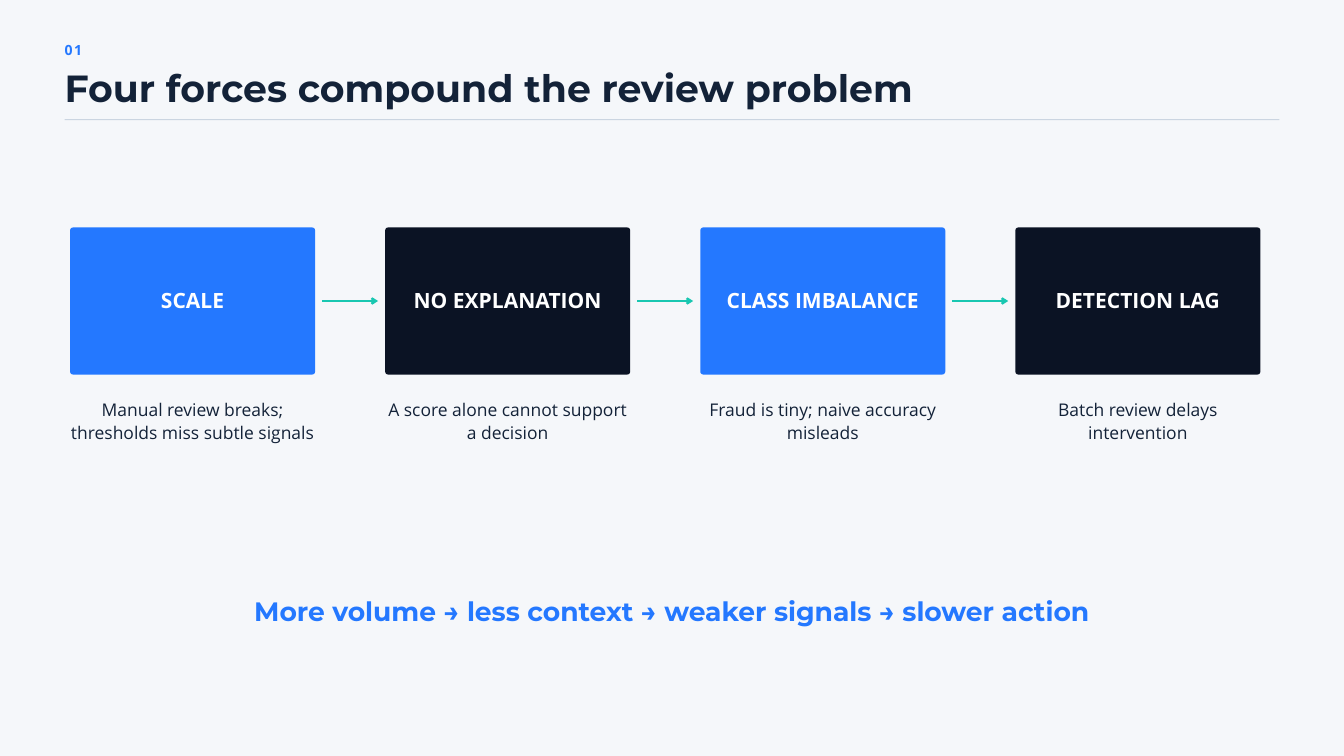
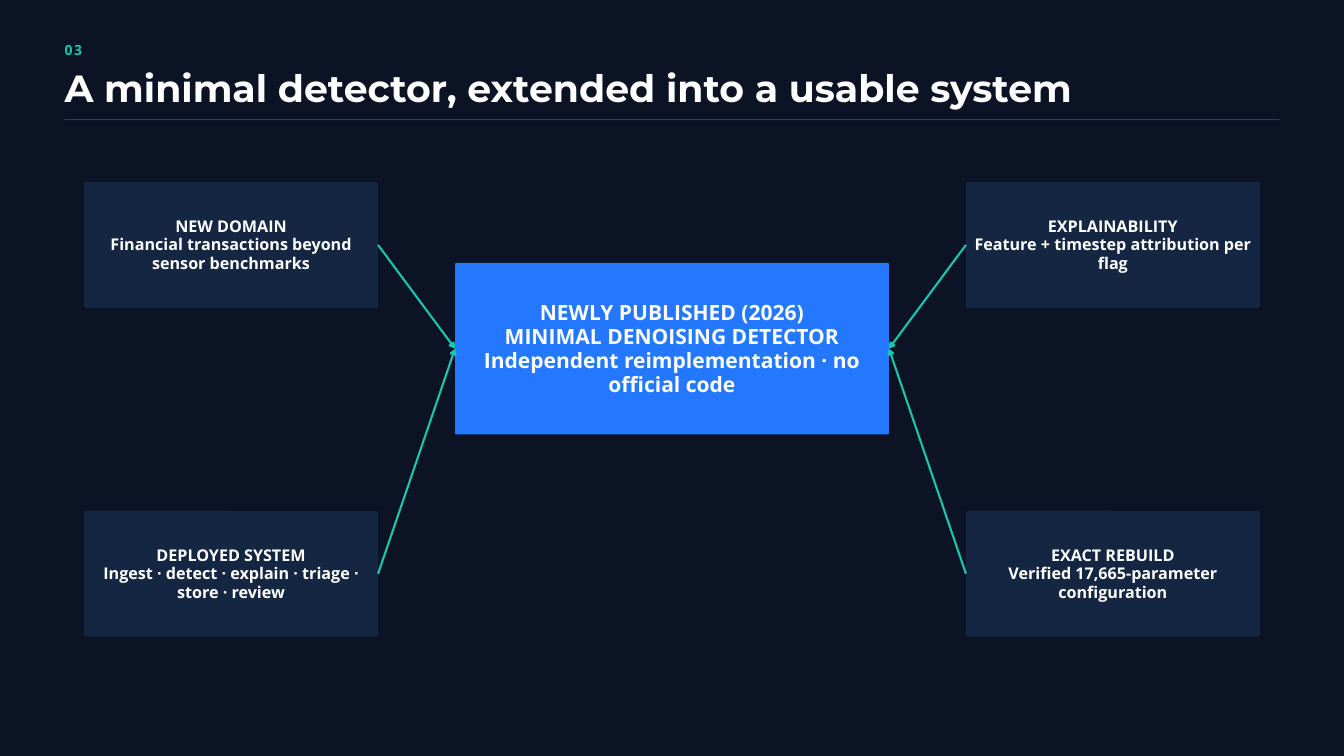
from dataclasses import dataclass

from lxml.etree import SubElement
from pptx import Presentation
from pptx.dml.color import RGBColor
from pptx.enum.shapes import MSO_CONNECTOR, MSO_SHAPE
from pptx.enum.text import MSO_ANCHOR, MSO_AUTO_SIZE, PP_ALIGN
from pptx.oxml.ns import qn
from pptx.shapes.autoshape import Shape
from pptx.shapes.connector import Connector
from pptx.slide import Slide
from pptx.util import Cm, Pt

COLORS = {
    "blue": "2478FF",
    "teal": "19C7B1",
    "night": "0B1324",
    "navy": "142641",
    "ink": "132238",
    "white": "FFFFFF",
    "paper": "F5F7FA",
    "light rule": "CBD5E1",
    "dark rule": "29405F",
}
HEADING_FONT = "Montserrat"
BODY_FONT = "Open Sans"
LEFT, RIGHT = 1, 3  # connection sites of a rounded rectangle


@dataclass(frozen=True)
class Theme:
    background: str
    number: str
    title: str
    rule: str


@dataclass(frozen=True)
class TextStyle:
    size: float
    spacing: float
    color: str
    font: str = BODY_FONT
    bold: bool = True
    align: PP_ALIGN = PP_ALIGN.CENTER
    tracking: int = 0


@dataclass(frozen=True)
class Area:
    """A rectangle in centimetres."""
    left: float
    top: float
    width: float
    height: float

    def lengths(self) -> tuple[Cm, Cm, Cm, Cm]:
        return Cm(self.left), Cm(self.top), Cm(self.width), Cm(self.height)


@dataclass(frozen=True)
class Force:
    name: str
    caption: str
    color: str


@dataclass(frozen=True)
class Extension:
    text: str
    on_right: bool
    top: float


LIGHT = Theme("paper", "blue", "ink", "light rule")
DARK = Theme("night", "teal", "white", "dark rule")

CARD_TEXT = TextStyle(22.5, 25.9, "white")
EXTENSION_TEXT = TextStyle(17.25, 19.8, "white")
CAPTION_TEXT = TextStyle(18.75, 24.4, "ink", bold=False)
TAKEAWAY_TEXT = TextStyle(28.5, 29.9, "blue", HEADING_FONT)

FORCES = [
    Force("SCALE", "Manual review breaks; thresholds miss subtle signals", "blue"),
    Force("NO EXPLANATION", "A score alone cannot support a decision", "night"),
    Force("CLASS IMBALANCE", "Fraud is tiny; naive accuracy misleads", "blue"),
    Force("DETECTION LAG", "Batch review delays intervention", "night"),
]

UPPER_ROW, LOWER_ROW = 6.88, 19.31
DETECTOR = (
    "NEWLY PUBLISHED (2026)\nMINIMAL DENOISING DETECTOR\n"
    "Independent reimplementation · no official code"
)
EXTENSIONS = [
    Extension("NEW DOMAIN\nFinancial transactions beyond sensor benchmarks",
              False, UPPER_ROW),
    Extension("EXPLAINABILITY\nFeature + timestep attribution per flag",
              True, UPPER_ROW),
    Extension("DEPLOYED SYSTEM\nIngest · detect · explain · triage · store · review",
              False, LOWER_ROW),
    Extension("EXACT REBUILD\nVerified 17,665-parameter configuration",
              True, LOWER_ROW),
]


def rgb(name: str) -> RGBColor:
    return RGBColor.from_string(COLORS[name])


def write(box: Shape, text: str, style: TextStyle, inset: float = 0,
          anchor: MSO_ANCHOR = MSO_ANCHOR.TOP) -> None:
    frame = box.text_frame
    frame.text = text
    frame.word_wrap = True
    frame.auto_size = MSO_AUTO_SIZE.NONE
    frame.vertical_anchor = anchor
    frame.margin_left = frame.margin_right = Cm(inset)
    frame.margin_top = frame.margin_bottom = Cm(inset)
    for para in frame.paragraphs:
        para.alignment = style.align
        para.line_spacing = Pt(style.spacing)
        para.space_before = Pt(0)
        for span in para.runs:
            span.font.name = style.font
            span.font.size = Pt(style.size)
            span.font.bold = style.bold
            span.font.color.rgb = rgb(style.color)
            if style.tracking:
                span.font._element.set("spc", str(style.tracking))


def add_text(page: Slide, area: Area, text: str, style: TextStyle) -> None:
    write(page.shapes.add_textbox(*area.lengths()), text, style)


def add_panel(page: Slide, kind: MSO_SHAPE, area: Area, color: str) -> Shape:
    panel = page.shapes.add_shape(kind, *area.lengths())
    panel.shadow.inherit = False
    panel.fill.solid()
    panel.fill.fore_color.rgb = rgb(color)
    panel.line.fill.background()
    return panel


def add_card(page: Slide, area: Area, color: str, radius: float,
             text: str, style: TextStyle) -> Shape:
    card = add_panel(page, MSO_SHAPE.ROUNDED_RECTANGLE, area, color)
    card.adjustments[0] = radius / area.height
    write(card, text, style, inset=0.15, anchor=MSO_ANCHOR.MIDDLE)
    return card


def add_arrow(page: Slide, start_x: float, start_y: float,
              end_x: float, end_y: float) -> Connector:
    arrow = page.shapes.add_connector(
        MSO_CONNECTOR.STRAIGHT, Cm(start_x), Cm(start_y), Cm(end_x), Cm(end_y))
    arrow.line.color.rgb = rgb("teal")
    arrow.line.width = Pt(2.25)
    SubElement(arrow.line._get_or_add_ln(), qn("a:tailEnd"), type="arrow")
    SubElement(arrow._element.spPr, qn("a:effectLst"))
    return arrow


def add_page(deck: Presentation, theme: Theme, number: str, title: str) -> Slide:
    """Add a slide with its background, section number, title and rule."""
    page = deck.slides.add_slide(deck.slide_layouts[5])
    page.background.fill.solid()
    page.background.fill.fore_color.rgb = rgb(theme.background)

    heading = page.shapes.title
    heading.left, heading.top, heading.width, heading.height = Area(
        2.44, 2.67, 39.67, 1.5).lengths()
    write(heading, title, TextStyle(40.5, 42.5, theme.title, HEADING_FONT,
                                    align=PP_ALIGN.LEFT))
    add_text(page, Area(2.44, 1.45, 5.28, 0.71), number,
             TextStyle(15, 21, theme.number, align=PP_ALIGN.LEFT, tracking=180))
    add_panel(page, MSO_SHAPE.RECTANGLE, Area(2.44, 4.5, 45.92, 0.04), theme.rule)
    return page


def build_forces(deck: Presentation) -> None:
    page = add_page(deck, LIGHT, "01", "Four forces compound the review problem")
    first_left, top, width, height = 2.65, 8.6, 9.26, 5.56
    pitch, arrow_gap = 11.91, 0.27

    # Chain of cards with captions
    for index, force in enumerate(FORCES):
        left = first_left + index * pitch
        add_card(page, Area(left, top, width, height), force.color, 0.11,
                 force.name, CARD_TEXT)
        add_text(page, Area(left, 15.03, width, 1.68), force.caption, CAPTION_TEXT)
        if index < len(FORCES) - 1:
            middle = top + height / 2
            add_arrow(page, left + width + arrow_gap, middle,
                      left + pitch - arrow_gap, middle)

    # Takeaway
    add_text(page, Area(7.94, 22.63, 34.92, 1.05),
             "More volume → less context → weaker signals → slower action",
             TAKEAWAY_TEXT)


def build_system(deck: Presentation) -> None:
    page = add_page(deck, DARK, "03",
                    "A minimal detector, extended into a usable system")

    # Detector in the centre
    detector = add_card(page, Area(17.2, 9.94, 16.4, 6.48), "blue", 0.05,
                        DETECTOR, CARD_TEXT)

    # Extensions pointing at the detector
    for extension in EXTENSIONS:
        left = 36.51 if extension.on_right else 3.18
        card = add_card(page, Area(left, extension.top, 11.11, 4.76), "navy", 0.08,
                        extension.text, EXTENSION_TEXT)
        arrow = add_arrow(page, 0, 0, 0, 0)
        inner, outer = (LEFT, RIGHT) if extension.on_right else (RIGHT, LEFT)
        arrow.begin_connect(card, inner)
        arrow.end_connect(detector, outer)


def main() -> None:
    deck = Presentation()
    deck.slide_width, deck.slide_height = Cm(50.8), Cm(28.58)
    build_forces(deck)
    build_system(deck)
    deck.save("out.pptx")


if __name__ == "__main__":
    main()
